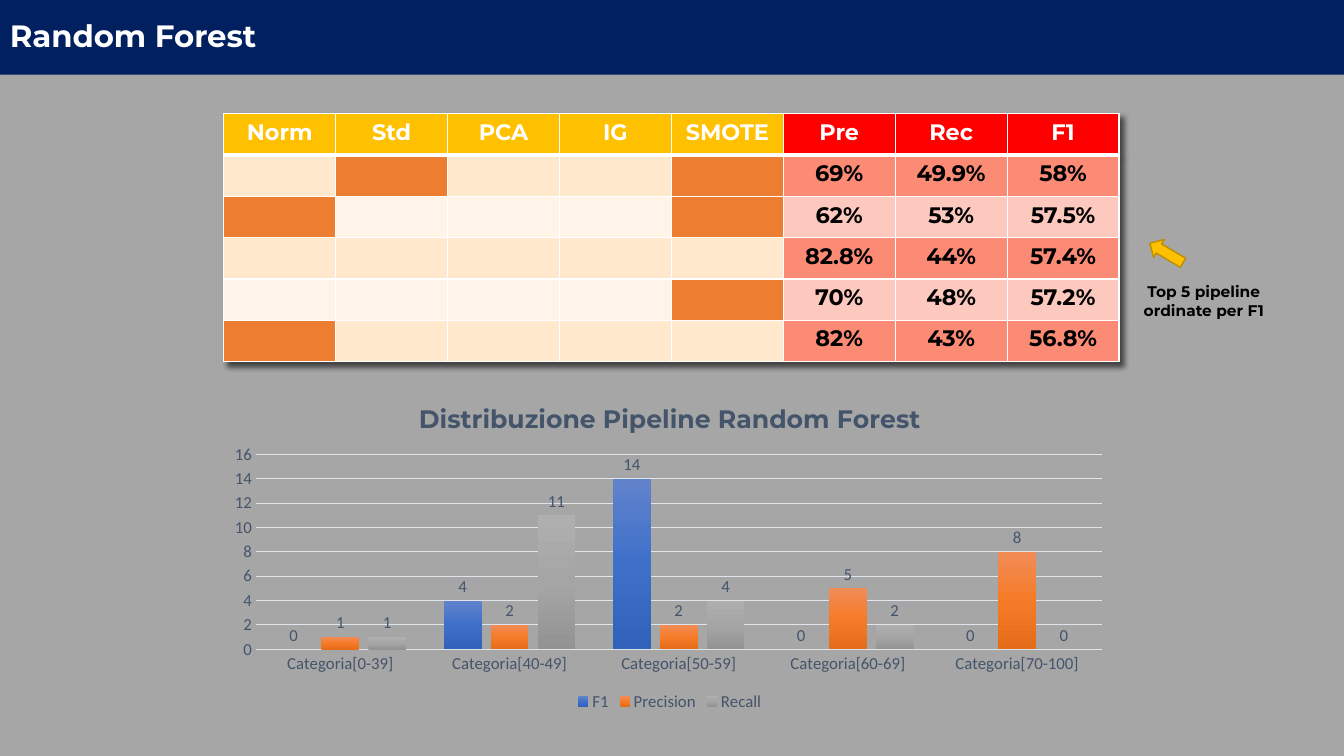
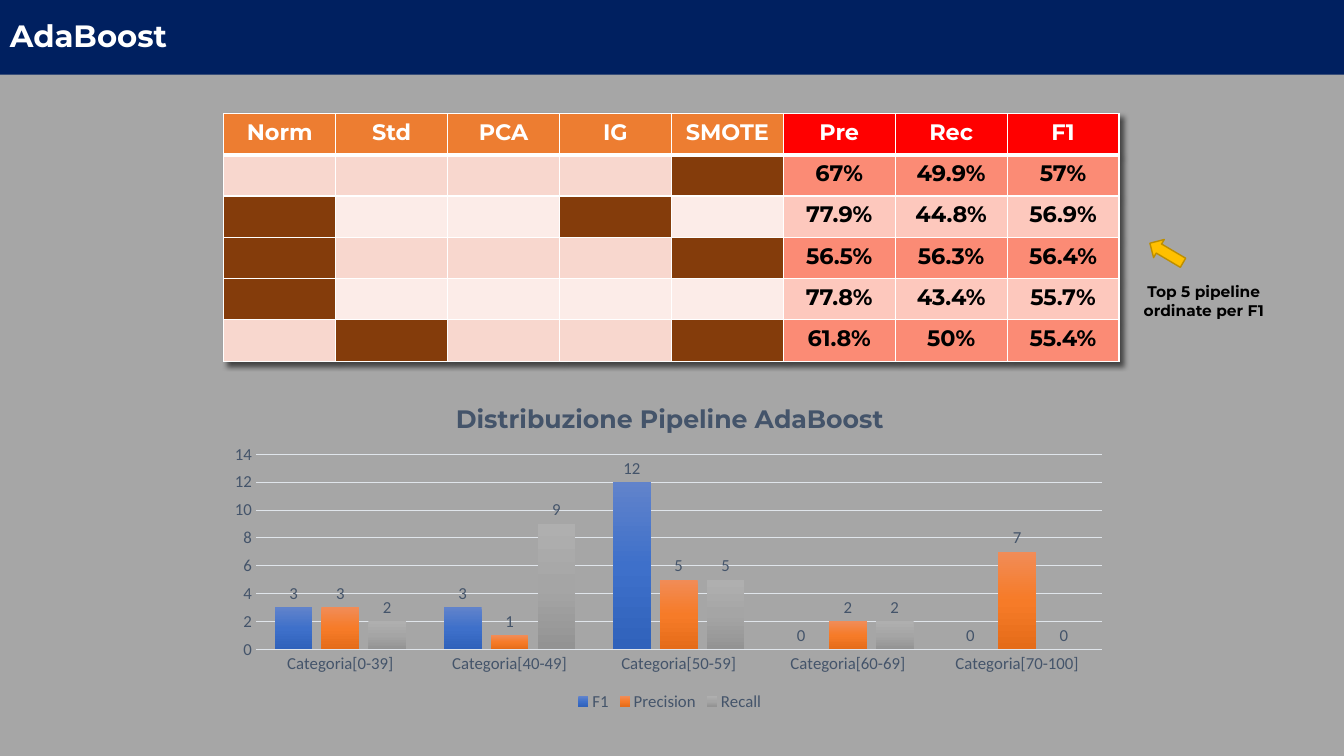
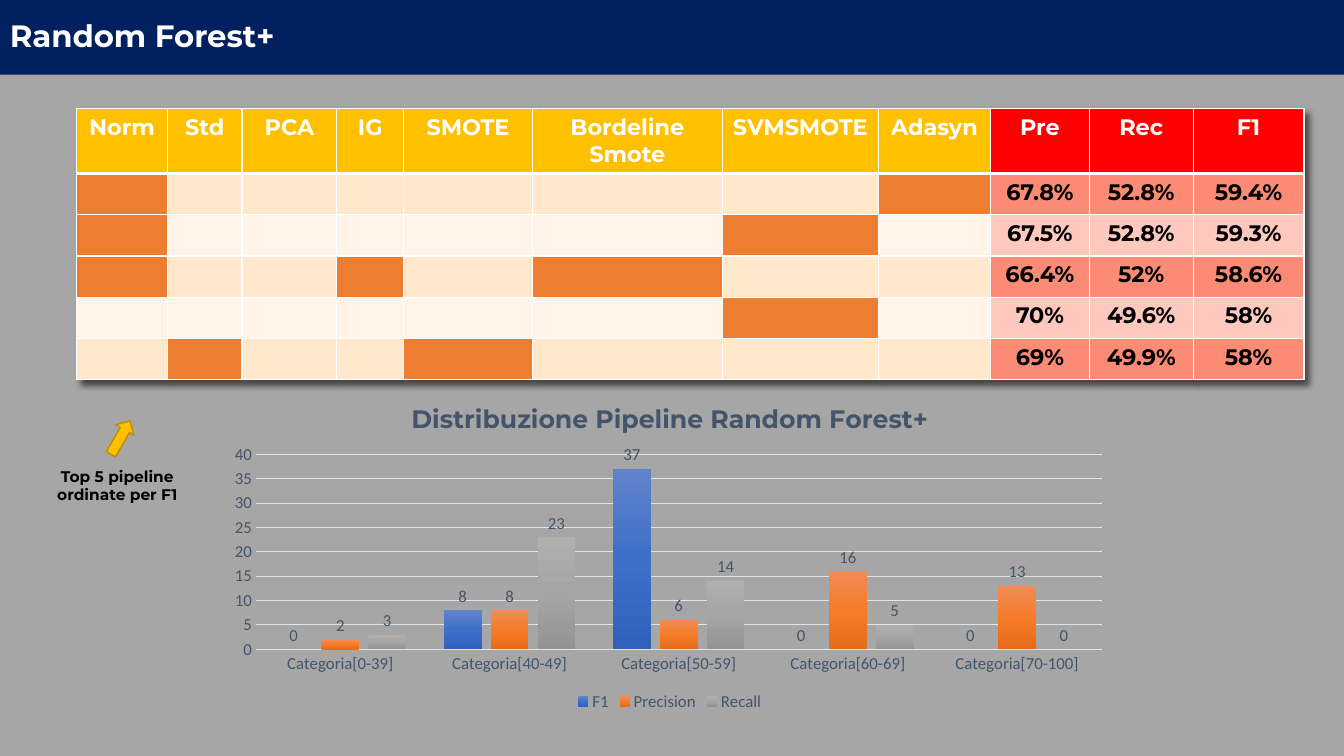
from copy import deepcopy

from pptx import Presentation
from pptx.chart.data import CategoryChartData as Data
from pptx.dml.color import RGBColor as RGB
from pptx.enum.chart import XL_CHART_TYPE as Kind, XL_LABEL_POSITION as Spot
from pptx.enum.chart import XL_LEGEND_POSITION as Side, XL_TICK_MARK as Tick
from pptx.enum.shapes import MSO_SHAPE as Form
from pptx.enum.text import MSO_ANCHOR as Anchor, PP_ALIGN as Align
from pptx.oxml import parse_xml
from pptx.oxml.ns import nsdecls
from pptx.util import Cm, Pt

HEX = {
    "back": "A6A6A6", "navy": "002060", "white": "FFFFFF", "black": "000000",
    "gold": "FFC000", "edge": "BD8E00", "red": "FF0000",
    "orange": "ED7D31", "brown": "843C0B", "slate": "44546A", "grid": "E0E5EB",
}
GOLD = {"head": "FFC000", "mark": "ED7D31", "bands": ("FFE8CC", "FFF4E7")}
RUST = {"head": "ED7D31", "mark": "843C0B", "bands": ("F8D7CE", "FCECE8")}
SCORE = ("FB8B75", "FDC8BD")
GRADS = {
    "F1": ("6183CB", "3E70CA", "3062BB"),
    "Precision": ("F18C57", "F67B28", "E56C19"),
    "Recall": ("AFAFAF", "A5A5A5", "939393"),
}
WIDE = 33.87
FACE = "Montserrat"
CATS = [f"Categoria[{span}]" for span in ("0-39", "40-49", "50-59", "60-69", "70-100")]
STEPS = ["Norm", "Std", "PCA", "IG", "SMOTE"]
MORE = ["Bordeline\nSmote", "SVMSMOTE", "Adasyn"]
RATES = ["Pre", "Rec", "F1"]

# Each row: the columns that are marked, then the three scores.
PAGES = [
    {
        "name": "Random Forest", "tone": GOLD, "steps": STEPS,
        "grid": (5.64, 2.87, [2.82] * 8, 1.04), "note": (28.45, 5.89, 0.68, 120.6),
        "rows": [((1, 4), "69% 49.9% 58%"), ((0, 4), "62% 53% 57.5%"),
                 ((), "82.8% 44% 57.4%"), ((4,), "70% 48% 57.2%"),
                 ((0,), "82% 43% 56.8%")],
        "vals": [(0, 4, 14, 0, 0), (1, 2, 2, 5, 8), (1, 11, 4, 2, 0)],
    },
    {
        "name": "AdaBoost", "tone": RUST, "steps": STEPS,
        "grid": (5.64, 2.87, [2.82] * 8, 1.03), "note": (28.45, 5.89, 0.68, 120.6),
        "rows": [((4,), "67% 49.9% 57%"), ((0, 3), "77.9% 44.8% 56.9%"),
                 ((0, 4), "56.5% 56.3% 56.4%"), ((0,), "77.8% 43.4% 55.7%"),
                 ((1, 4), "61.8% 50% 55.4%")],
        "vals": [(3, 3, 12, 0, 0), (3, 1, 5, 2, 7), (2, 9, 5, 2, 0)],
    },
    {
        "name": "Random Forest+", "tone": GOLD, "steps": STEPS + MORE,
        "grid": (1.93, 2.74, [2.29, 1.88, 2.39, 1.68, 3.25, 4.78, 3.94, 2.82,
                              2.49, 2.62, 2.79], 1.63),
        "note": (1.07, 10.54, 1.7, 209.9),
        "rows": [((0, 7), "67.8% 52.8% 59.4%"), ((0, 6), "67.5% 52.8% 59.3%"),
                 ((0, 3, 5), "66.4% 52% 58.6%"), ((6,), "70% 49.6% 58%"),
                 ((1, 4), "69% 49.9% 58%")],
        "vals": [(0, 8, 37, 0, 0), (2, 8, 6, 16, 13), (3, 23, 14, 5, 0)],
    },
]


def paint(fill, tone):
    fill.solid()
    fill.fore_color.rgb = RGB.from_string(tone)


def style(font, size, tone, face=FACE, bold=True):
    font.size, font.name, font.bold = Pt(size), face, bold
    font.color.rgb = RGB.from_string(tone)


def write(frame, text, size, tone, align):
    frame.text = text
    for para in frame.paragraphs:
        para.alignment = align
        for run in para.runs:
            style(run.font, size, tone)


def band(slide, text):
    bar = slide.shapes.add_shape(Form.RECTANGLE, 0, 0, Cm(WIDE), Cm(1.88))
    bar.shadow.inherit = False
    paint(bar.fill, HEX["navy"])
    bar.line.fill.background()
    frame = bar.text_frame
    frame.vertical_anchor = Anchor.MIDDLE
    write(frame, text, 22, HEX["white"], Align.LEFT)
    frame.paragraphs[0].line_spacing = 0.9


def border(cell, top, low):
    """Rule a filled cell in white, with its top and bottom widths in points."""
    props = cell._tc.get_or_add_tcPr()
    for at, (side, width) in enumerate(zip("LRTB", (1, 1, top, low))):
        props.insert(at, parse_xml(
            f'<a:ln{side} {nsdecls("a")} w="{Pt(width)}"><a:solidFill>'
            f'<a:srgbClr val="{HEX["white"]}"/></a:solidFill></a:ln{side}>'))


def shade(table):
    """Give the table a soft shadow to the lower right."""
    table._tbl.tblPr.insert(0, parse_xml(
        f'<a:effectLst {nsdecls("a")}><a:outerShdw blurRad="50800" dist="50800" '
        f'dir="2700000" algn="tl" rotWithShape="0"><a:srgbClr val="{HEX["black"]}">'
        '<a:alpha val="60000"/></a:srgbClr></a:outerShdw></a:effectLst>'))


def scores(slide, page):
    left, top, widths, high = page["grid"]
    tone, steps, rows = page["tone"], page["steps"], page["rows"]
    highs = [high] + [1.04] * len(rows)
    table = slide.shapes.add_table(
        len(highs), len(widths), Cm(left), Cm(top),
        Cm(sum(widths)), Cm(sum(highs))).table
    for col, width in zip(table.columns, widths):
        col.width = Cm(width)
    for row, size in zip(table.rows, highs):
        row.height = Cm(size)
    shade(table)

    for c, text in enumerate(steps + RATES):
        cell = table.cell(0, c)
        paint(cell.fill, tone["head"] if c < len(steps) else HEX["red"])
        border(cell, 1, 3)
        write(cell.text_frame, text, 16, HEX["white"], Align.CENTER)
    for r, (marks, rates) in enumerate(rows, 1):
        odd = (r - 1) % 2
        for c in range(len(steps)):
            cell = table.cell(r, c)
            paint(cell.fill, tone["mark"] if c in marks else tone["bands"][odd])
            border(cell, 3 if r == 1 else 1, 1)
        for c, text in enumerate(rates.split(), len(steps)):
            cell = table.cell(r, c)
            paint(cell.fill, SCORE[odd])
            border(cell, 3 if r == 1 else 1, 1)
            write(cell.text_frame, text, 16, HEX["black"], Align.CENTER)


def blend(bars, tones):
    """Fill a series with a three-stop gradient from top to bottom."""
    fill = bars.format.fill
    fill.gradient()
    fill.gradient_angle = 270
    stops = bars._element.xpath(".//a:gsLst")[0]
    stops.insert(1, deepcopy(stops[0]))
    for stop, place, tone in zip(fill.gradient_stops, (0, 0.5, 1), tones):
        stop.position = place
        stop.color.rgb = RGB.from_string(tone)


def fix(plot, x, y, w, h):
    """Set the inner plot area as shares of the chart."""
    area = plot._element.getparent()
    for old in area.xpath("c:layout"):
        area.remove(old)
    sizes = "".join(f'<c:{key} val="{val}"/>' for key, val in zip("xywh", (x, y, w, h)))
    area.insert(0, parse_xml(
        f'<c:layout {nsdecls("c")}><c:manualLayout><c:layoutTarget val="inner"/>'
        f'<c:xMode val="edge"/><c:yMode val="edge"/>{sizes}'
        '</c:manualLayout></c:layout>'))


def bars(slide, name, vals, left, top, width, height):
    data = Data()
    data.categories = CATS
    for key, nums in zip(GRADS, vals):
        data.add_series(key, nums)
    chart = slide.shapes.add_chart(
        Kind.COLUMN_CLUSTERED, Cm(left), Cm(top), Cm(width), Cm(height), data).chart
    style(chart.font, 12, HEX["slate"], "Calibri", False)
    chart.has_title = True
    write(chart.chart_title.text_frame, f"Distribuzione Pipeline {name}",
          18, HEX["slate"], Align.CENTER)
    chart.has_legend = True
    chart.legend.position = Side.BOTTOM
    chart.legend.include_in_layout = False

    plot = chart.plots[0]
    plot.gap_width, plot.overlap, plot.vary_by_categories = 100, -24, False
    plot.has_data_labels = True
    plot.data_labels.show_value = True
    plot.data_labels.position = Spot.OUTSIDE_END
    for item in plot.series:
        blend(item, GRADS[item.name])
    fix(plot, 0.04, 0.21, 0.94, 0.59)

    cats, nums = chart.category_axis, chart.value_axis
    cats.major_tick_mark = nums.major_tick_mark = Tick.NONE
    nums.format.line.fill.background()
    for line in (cats.format.line, nums.major_gridlines.format.line):
        line.width = Pt(0.75)
        paint(line.fill, HEX["grid"])


def note(slide, left, top, shift, turn):
    """Place the caption under an arrow that is shifted right and turned."""
    group = slide.shapes.add_group_shape()
    box = group.shapes.add_textbox(Cm(left), Cm(top + 1.1), Cm(3.78), Cm(1.19))
    box.text_frame.word_wrap = True
    write(box.text_frame, "Top 5 pipeline ordinate per F1", 11, HEX["black"], Align.CENTER)
    arrow = group.shapes.add_shape(
        Form.DOWN_ARROW, Cm(left + shift), Cm(top), Cm(0.53), Cm(0.97))
    arrow.rotation = turn
    arrow.shadow.inherit = False
    paint(arrow.fill, HEX["gold"])
    paint(arrow.line.fill, HEX["edge"])
    arrow.line.width = Pt(1)


def main():
    deck = Presentation()
    deck.slide_width, deck.slide_height = Cm(WIDE), Cm(19.05)
    paint(deck.slide_master.background.fill, HEX["back"])
    for page in PAGES:
        slide = deck.slides.add_slide(deck.slide_layouts[6])
        band(slide, page["name"])
        scores(slide, page)
        bars(slide, page["name"], page["vals"], 5.54, 9.7, 22.68, 8.33)
        note(slide, *page["note"])
    deck.save("out.pptx")


if __name__ == "__main__":
    main()
